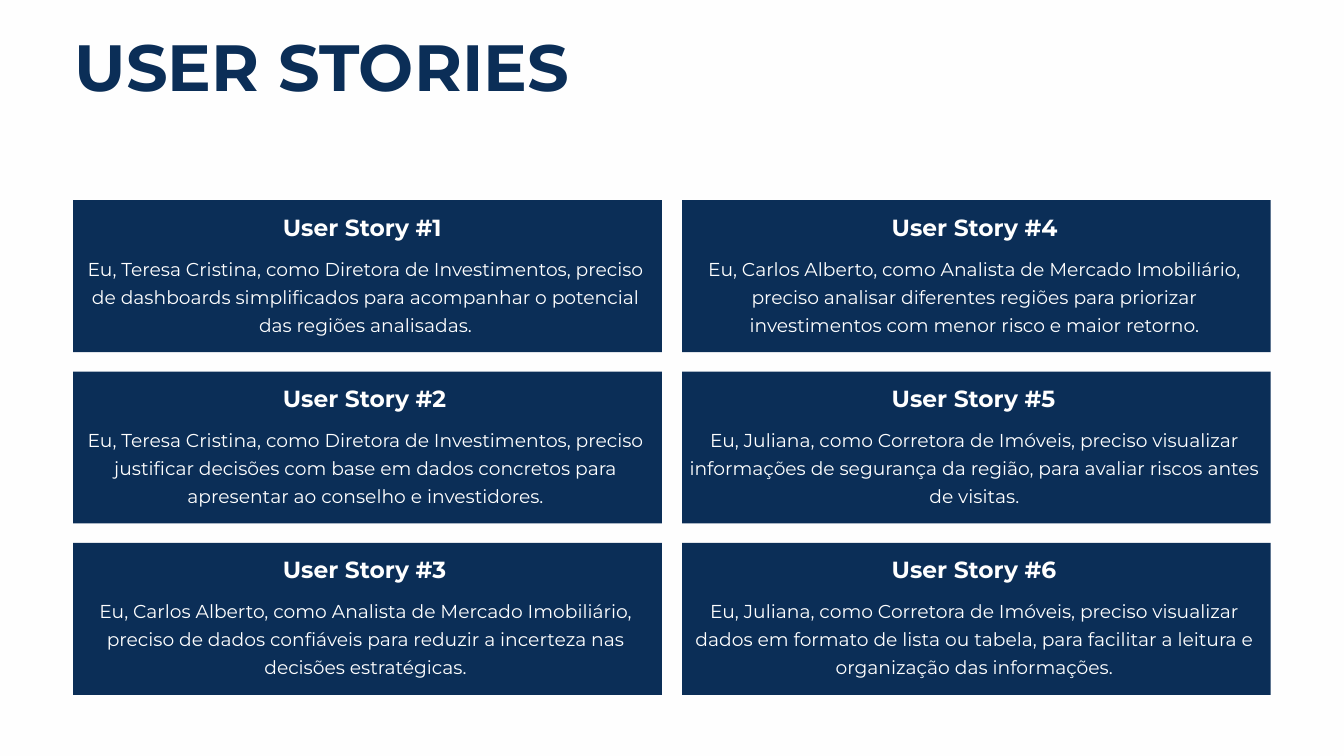
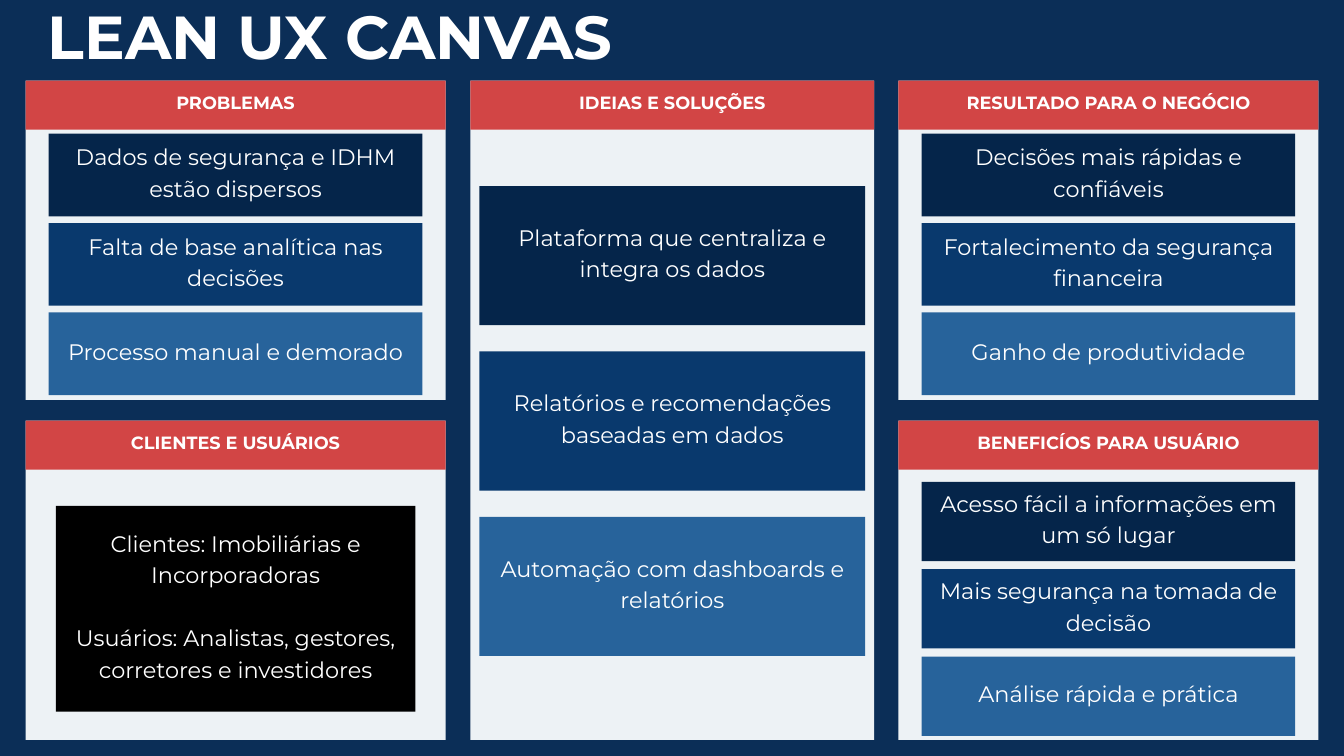
from pptx import Presentation
from pptx import util as u
from pptx.dml.color import RGBColor
from pptx.enum import shapes, text

NAVY, WHITE, PAPER = "0B2E57", "FFFFFF", "FEFEFE"
PANEL, RED, BLACK = "EDF2F5", "D24545", "000000"
BLUES = ["05254A", "09396D", "27639B"]
LEFT, CENTER = text.PP_ALIGN.LEFT, text.PP_ALIGN.CENTER
TOP, MIDDLE = text.MSO_ANCHOR.TOP, text.MSO_ANCHOR.MIDDLE

STORIES = [
    "Eu, Teresa Cristina, como Diretora de Investimentos, preciso de dashboards "
    "simplificados para acompanhar o potencial das regiões analisadas.",
    "Eu, Teresa Cristina, como Diretora de Investimentos, preciso justificar decisões "
    "com base em dados concretos para apresentar ao conselho e investidores.",
    "Eu, Carlos Alberto, como Analista de Mercado Imobiliário, preciso de dados "
    "confiáveis para reduzir a incerteza nas decisões estratégicas.",
    "Eu, Carlos Alberto, como Analista de Mercado Imobiliário, preciso analisar "
    "diferentes regiões para priorizar investimentos com menor risco e maior retorno.",
    "Eu, Juliana, como Corretora de Imóveis, preciso visualizar informações de "
    "segurança da região, para avaliar riscos antes de visitas.",
    "Eu, Juliana, como Corretora de Imóveis, preciso visualizar dados em formato de "
    "lista ou tabela, para facilitar a leitura e organização das informações.",
]

CANVAS = [
    ("PROBLEMAS", (0.38, 1.2, 6.25, 4.75), (1.99, 5.56, 1.23, 1.33), BLUES,
     ["Dados de segurança e IDHM estão dispersos",
      "Falta de base analítica nas decisões",
      "Processo manual e demorado"]),
    ("CLIENTES E USUÁRIOS", (0.38, 6.26, 6.25, 4.75), (7.53, 5.35, 3.06, 0), [BLACK],
     ["Clientes: Imobiliárias e Incorporadoras\n"
      "Usuários: Analistas, gestores, corretores e investidores"]),
    ("IDEIAS E SOLUÇÕES", (7, 1.2, 6.01, 9.81), (2.77, 5.74, 2.07, 2.46), BLUES,
     ["Plataforma que centraliza e integra os dados",
      "Relatórios e recomendações baseadas em dados",
      "Automação com dashboards e relatórios"]),
    ("RESULTADO PARA O NEGÓCIO", (13.37, 1.2, 6.25, 4.75), (1.99, 5.56, 1.23, 1.33), BLUES,
     ["Decisões mais rápidas e confiáveis",
      "Fortalecimento da segurança financeira",
      "Ganho de produtividade"]),
    ("BENEFICÍOS PARA USUÁRIO", (13.37, 6.26, 6.25, 4.75), (7.17, 5.56, 1.18, 1.3), BLUES,
     ["Acesso fácil a informações em um só lugar",
      "Mais segurança na tomada de decisão",
      "Análise rápida e prática"]),
]


def rgb(value):
    return RGBColor.from_string(value)


class Deck:
    """Holds the shared style and the slide being built."""

    font = "Montserrat"

    def __init__(self):
        self.prs = Presentation()
        self.prs.slide_width, self.prs.slide_height = u.Inches(20), u.Inches(11.25)
        self.slide = None

    def new_slide(self, background):
        self.slide = self.prs.slides.add_slide(self.prs.slide_layouts[5])
        fill = self.slide.background.fill
        fill.solid()
        fill.fore_color.rgb = rgb(background)

    def set_text(self, frame, words, size, leading, color=WHITE, bold=False,
                 align=CENTER, anchor=TOP, margins=(0, 0, 0, 0), gap=0):
        frame.auto_size = text.MSO_AUTO_SIZE.NONE
        frame.word_wrap = True
        frame.vertical_anchor = anchor
        (frame.margin_left, frame.margin_top,
         frame.margin_right, frame.margin_bottom) = map(u.Inches, margins)
        frame.text = words
        for index, paragraph in enumerate(frame.paragraphs):
            paragraph.alignment = align
            paragraph.line_spacing = u.Pt(leading)
            paragraph.space_before = u.Pt(gap if index else 0)
            for run in paragraph.runs:
                run.font.name, run.font.size, run.font.bold = self.font, u.Pt(size), bold
                run.font.color.rgb = rgb(color)

    def title(self, words, area, size, leading, color, align):
        heading = self.slide.shapes.title
        heading.left, heading.top, heading.width, heading.height = map(u.Inches, area)
        self.set_text(heading.text_frame, words, size, leading, color, True, align)

    def label(self, words, area, size, leading, **style):
        box = self.slide.shapes.add_textbox(*map(u.Inches, area))
        self.set_text(box.text_frame, words, size, leading, **style)

    def block(self, area, color):
        block = self.slide.shapes.add_shape(
            shapes.MSO_SHAPE.RECTANGLE, *map(u.Inches, area))
        block.shadow.inherit = False
        block.fill.solid()
        block.fill.fore_color.rgb = rgb(color)
        block.line.fill.background()
        return block

    def note(self, words, area, color, size=24, leading=33.6, bold=False):
        self.set_text(self.block(area, color).text_frame, words, size, leading, bold=bold,
                      anchor=MIDDLE, margins=(0.06, 0.06, 0.06, 0.2), gap=leading)


def user_stories(deck):
    deck.new_slide(PAPER)
    deck.title("USER STORIES", (1.09, 0.58, 7.4, 1.02), 70, 70, NAVY, CENTER)
    for index, story in enumerate(STORIES):
        column, row = divmod(index, 3)
        left, top = 1.09 + column * 9.06, 2.98 + row * 2.55
        deck.block((left, top, 8.76, 2.26), NAVY)
        deck.label(f"User Story #{index + 1}", (left + 3.12, top + 0.29, 2.52, 0.33),
                   25, 22.5, bold=True, align=LEFT)
        deck.label(story, (left + 0.03, top + 0.77, 8.64, 1.23), 20, 30)


def lean_canvas(deck):
    deck.new_slide(NAVY)
    deck.title("LEAN UX CANVAS", (0.71, 0.25, 9.32, 0.89), 65, 58.5, WHITE, LEFT)
    for heading, panel, (first, note_width, note_height, pitch), colors, notes in CANVAS:
        left, top, width, _ = panel
        deck.block(panel, PANEL)
        deck.note(heading, (left, top, width, 0.73), RED, 19, 26.6, True)
        note_left = left + (width - note_width) / 2
        for index, (words, color) in enumerate(zip(notes, colors)):
            deck.note(words, (note_left, first + index * pitch, note_width, note_height), color)


def main():
    deck = Deck()
    user_stories(deck)
    lean_canvas(deck)
    deck.prs.save("out.pptx")


if __name__ == "__main__":
    main()
